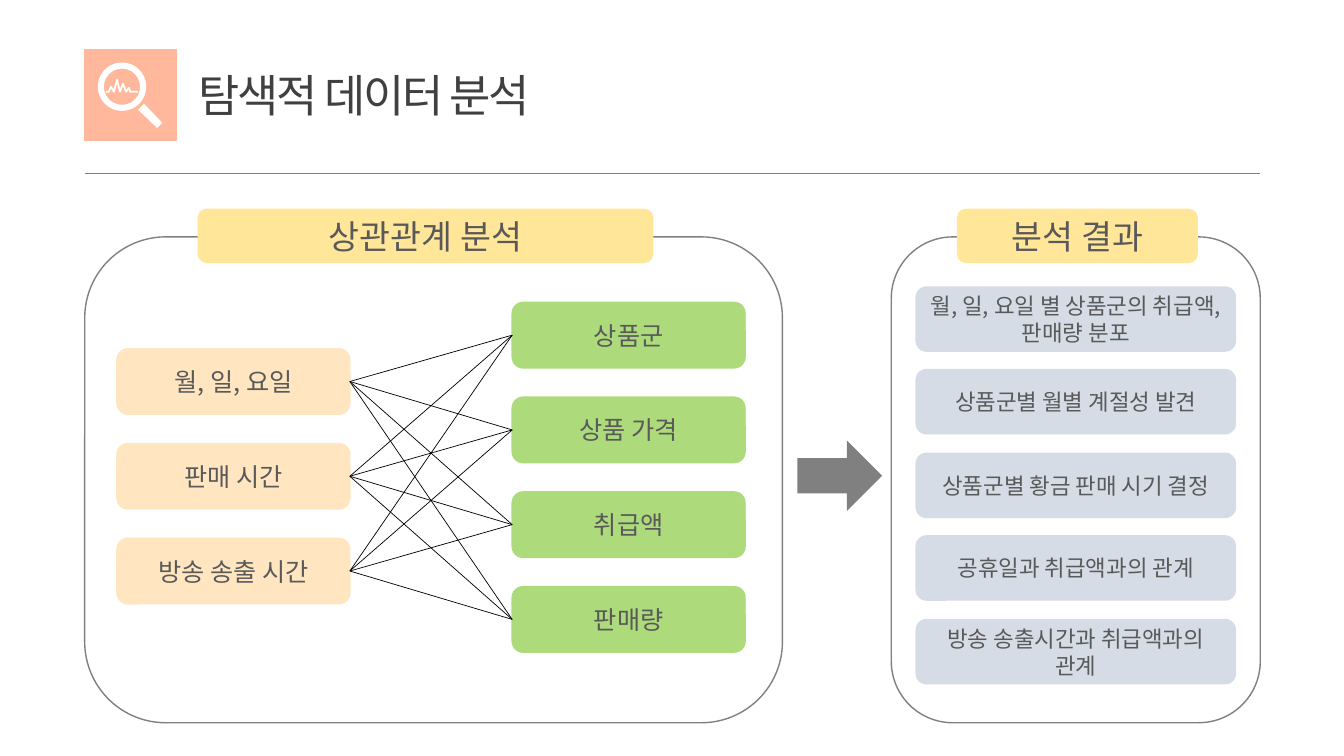
from itertools import product

from lxml import etree
from pptx import Presentation
from pptx import util as u
from pptx.dml.color import RGBColor
from pptx.enum import shapes, text
from pptx.oxml.ns import qn

PX = 9144  # EMU per px, 100 px to the inch
FONT = "Noto Sans CJK KR"
GRAY, DARK_GRAY, WHITE = "808080", "595959", "FFFFFF"
PEACH, CREAM, GREEN, YELLOW, BLUE_GRAY = "FFB89B", "FFE6C1", "ADDB7B", "FFE699", "D6DCE5"

FACTORS = ["월, 일, 요일", "판매 시간", "방송 송출 시간"]
MEASURES = ["상품군", "상품 가격", "취급액", "판매량"]
RESULTS = [
    "월, 일, 요일 별 상품군의 취급액, 판매량 분포",
    "상품군별 월별 계절성 발견",
    "상품군별 황금 판매 시기 결정",
    "공휴일과 취급액과의 관계",
    "방송 송출시간과 취급액과의 관계",
]
HANDLE = [(143, 103), (161, 122), (156, 127), (137, 109)]
WAVE = [(105, 91), (108, 91), (110, 86), (113, 91), (116, 79), (119, 91),
        (122, 83), (125, 91), (128, 87), (129, 91), (137, 91)]


def px(*lengths):
    return [u.Emu(length * PX) for length in lengths]


def color(hex_string):
    return RGBColor.from_string(hex_string)


def paint(shape, fill=None, line=None, width=1):
    """Set fill and outline, None meaning absent, and drop the shadow."""
    shape.shadow.inherit = False
    if fill:
        shape.fill.solid()
        shape.fill.fore_color.rgb = color(fill)
    else:
        shape.fill.background()
    if line:
        shape.line.color.rgb = color(line)
        shape.line.width = u.Pt(width)
    else:
        shape.line.fill.background()


def write(shape, words, size, hex_string, align, spacing=None):
    frame = shape.text_frame
    frame.text = words
    frame.word_wrap = True
    frame.vertical_anchor = text.MSO_ANCHOR.MIDDLE
    paragraph = frame.paragraphs[0]
    paragraph.alignment = align
    run = paragraph.runs[0]
    run.font.size = u.Pt(size)
    run.font.name = FONT
    run.font.color.rgb = color(hex_string)
    properties = run._r.get_or_add_rPr()
    etree.SubElement(properties, qn("a:ea")).set("typeface", FONT)
    if spacing is not None:
        properties.set("spc", str(spacing))


def add_preset(slide, kind, box, fill=None, line=None):
    shape = slide.shapes.add_shape(kind, *px(*box))
    paint(shape, fill, line)
    return shape


def add_label(slide, words, box, fill, size, line=None):
    shape = add_preset(slide, shapes.MSO_SHAPE.ROUNDED_RECTANGLE, box, fill, line)
    write(shape, words, size, DARK_GRAY, text.PP_ALIGN.CENTER)
    return shape


def add_line(slide, hex_string, width, ends=(0, 0, 0, 0)):
    connector = slide.shapes.add_connector(shapes.MSO_CONNECTOR.STRAIGHT, *px(*ends))
    connector.line.color.rgb = color(hex_string)
    connector.line.width = u.Pt(width)
    etree.SubElement(connector._element.spPr, qn("a:effectLst"))
    return connector


def add_outline(slide, points, close):
    builder = slide.shapes.build_freeform(*points[0], scale=PX)
    builder.add_line_segments(points[1:], close=close)
    return builder.convert_to_shape()


def add_title(slide):
    title = slide.shapes.title
    title.left, title.top, title.width, title.height = px(187, 62, 773, 64)
    write(title, "탐색적 데이터 분석", 32, "404040", text.PP_ALIGN.LEFT, -150)
    add_line(slide, GRAY, 0.75, (84, 172, 1250, 172))


def add_magnifier(slide):
    add_preset(slide, shapes.MSO_SHAPE.RECTANGLE, (84, 49, 91, 90), PEACH, PEACH)
    lens = add_preset(slide, shapes.MSO_SHAPE.DONUT, (97, 62, 48, 48), WHITE)
    lens.adjustments[0] = 0.125
    paint(add_outline(slide, HANDLE, True), WHITE)
    paint(add_outline(slide, WAVE, False), line=WHITE, width=1.25)


def add_panel(slide, heading, box, heading_box):
    add_preset(slide, shapes.MSO_SHAPE.ROUNDED_RECTANGLE, box, line=GRAY)
    add_label(slide, heading, heading_box, YELLOW, 24)


def add_variables(slide, names, left, top, fill):
    return [add_label(slide, name, (left, top + 94 * row, 231, 65), fill, 18, fill)
            for row, name in enumerate(names)]


def main():
    presentation = Presentation()
    presentation.slide_width, presentation.slide_height = px(1333, 750)
    slide = presentation.slides.add_slide(presentation.slide_layouts[5])
    add_title(slide)
    add_magnifier(slide)

    add_panel(slide, "상관관계 분석", (84, 235, 692, 482), (196, 207, 452, 54))
    factors = add_variables(slide, FACTORS, 116, 346, CREAM)
    measures = add_variables(slide, MEASURES, 508, 300, GREEN)
    for factor, measure in product(factors, measures):
        link = add_line(slide, "000000", 0.5)
        link.begin_connect(factor, 3)
        link.end_connect(measure, 1)

    add_preset(slide, shapes.MSO_SHAPE.RIGHT_ARROW, (791, 437, 84, 70), GRAY)

    add_panel(slide, "분석 결과", (884, 235, 366, 482), (949, 207, 239, 54))
    for row, result in enumerate(RESULTS):
        top = 284 + 330 * row // (len(RESULTS) - 1)
        add_label(slide, result, (908, top, 318, 65), BLUE_GRAY, 16)

    presentation.save("out.pptx")


if __name__ == "__main__":
    main()
